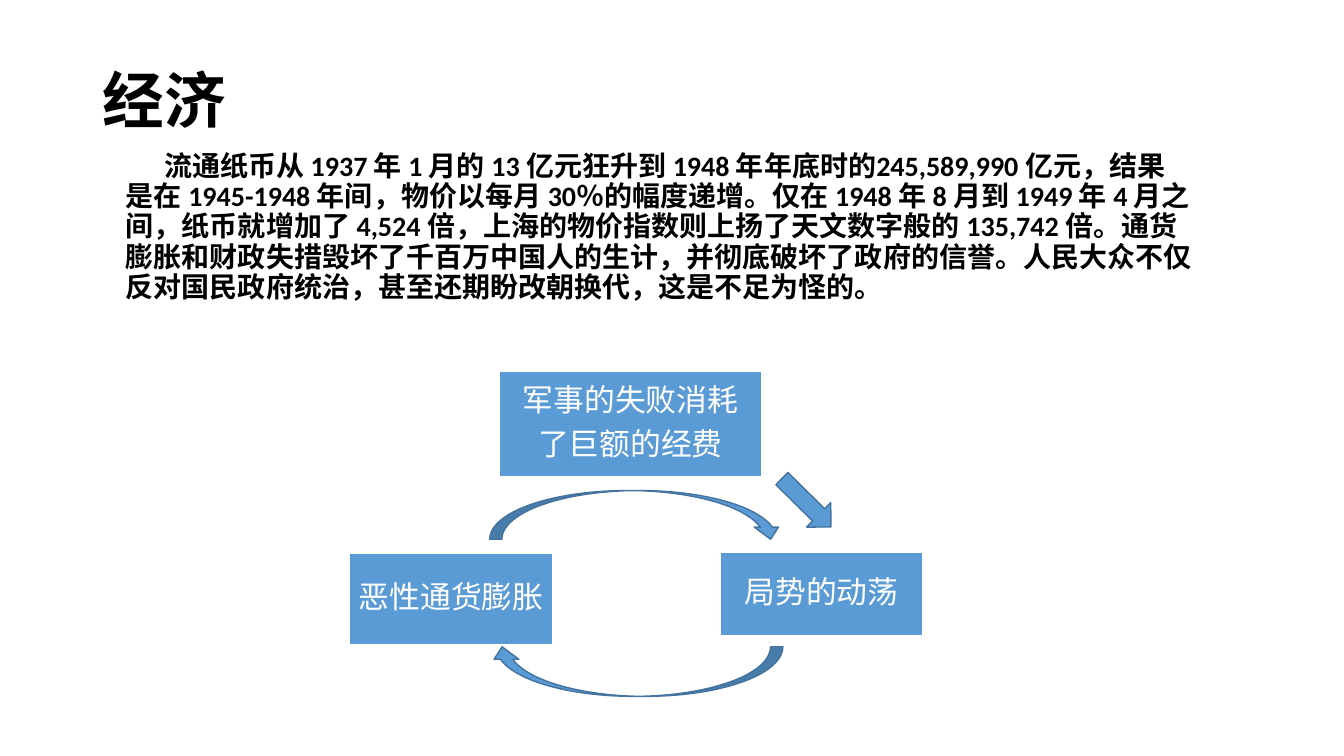
from pptx import Presentation
from pptx.dml.color import RGBColor
from pptx.enum.shapes import MSO_SHAPE
from pptx.enum.text import MSO_ANCHOR, PP_ALIGN
from pptx.util import Inches, Pt

COLORS = {"ink": "000000", "light": "FFFFFF", "blue": "5B9BD5", "edge": "43739E"}
COLUMNS, ROWS = 160, 90
CELL = Inches(7.5) / ROWS

TITLE = "经济"
STORY = (
    "流通纸币从 1937 年 1 月的 13 亿元狂升到 1948 年年底时的245,589,990 亿元，"
    "结果是在 1945-1948 年间，物价以每月 30％的幅度递增。仅在 1948 年 8 月到 1949 年 4 月之间，"
    "纸币就增加了 4,524 倍，上海的物价指数则上扬了天文数字般的 135,742 倍。"
    "通货膨胀和财政失措毁坏了千百万中国人的生计，并彻底破坏了政府的信誉。"
    "人民大众不仅反对国民政府统治，甚至还期盼改朝换代，这是不足为怪的。"
)
CAUSES = [
    (["恶性通货膨胀"], (0, 21.7, 24.2, 10.8)),
    (["局势的动荡"], (44.2, 21.5, 24, 10)),
    (["军事的失败消耗", "了巨额的经费"], (17.8, 0, 31.3, 12.5)),
]
ARROWS = [
    (MSO_SHAPE.LEFT_ARROW, 224.6, (50.3, 13.6, 8.2, 4.1)),
    (MSO_SHAPE.CURVED_DOWN_ARROW, 180, (16.7, 32.8, 34.9, 5.9)),
    (MSO_SHAPE.CURVED_DOWN_ARROW, 0, (16.7, 14.2, 34.9, 5.8)),
]


def cells(box):
    """Turn grid cells into slide lengths."""
    return [round(length * CELL) for length in box]


def color(name):
    """Look up a named colour."""
    return RGBColor.from_string(COLORS[name])


def set_all(target, values):
    """Set every attribute in a dict of format values."""
    for name, value in values.items():
        setattr(target, name, value)


def write(frame, lines, size, ink, bold, paragraph_format):
    """Write one formatted paragraph per line."""
    for index, line in enumerate(lines):
        para = frame.add_paragraph() if index else frame.paragraphs[0]
        set_all(para, {"line_spacing": 0.9, "space_before": Pt(0), **paragraph_format})
        span = para.add_run()
        span.text = line
        set_all(span.font, {"name": "Calibri", "size": Pt(size), "bold": bold})
        span.font.color.rgb = color(ink)


def add_title(page, box):
    """Place the slide title in its placeholder."""
    title = page.shapes.title
    set_all(title, dict(zip(("left", "top", "width", "height"), cells(box))))
    title.text_frame.vertical_anchor = MSO_ANCHOR.MIDDLE
    write(title.text_frame, [TITLE], 44, "ink", True, {"alignment": PP_ALIGN.LEFT})


def add_story(page, box):
    """Place the paragraph with an indented first line."""
    frame = page.shapes.add_textbox(*cells(box)).text_frame
    set_all(frame, {"word_wrap": True, "vertical_anchor": MSO_ANCHOR.BOTTOM})
    write(frame, [STORY], 20, "ink", True, {"alignment": PP_ALIGN.LEFT})
    frame.paragraphs[0]._p.get_or_add_pPr().set("indent", str(Inches(0.38)))


def add_figure(page, kind, box, edge):
    """Draw one blue shape with a one-point outline."""
    figure = page.shapes.add_shape(kind, *cells(box))
    figure.shadow.inherit = False
    figure.fill.solid()
    figure.fill.fore_color.rgb = color("blue")
    figure.line.color.rgb = color(edge)
    figure.line.width = Pt(1)
    return figure


def add_cycle(page, box):
    """Draw the causes and the arrows between them."""
    left, top = box

    def inside(part):
        """Shift a part into the region."""
        return (left + part[0], top + part[1], *part[2:])

    for lines, part in CAUSES:
        frame = add_figure(page, MSO_SHAPE.RECTANGLE, inside(part), "light").text_frame
        margins = dict.fromkeys(("margin_left", "margin_right", "margin_top", "margin_bottom"), Inches(0.08))
        set_all(frame, {"word_wrap": True, "vertical_anchor": MSO_ANCHOR.MIDDLE, **margins})
        write(frame, lines, 22, "light", False, {"alignment": PP_ALIGN.CENTER, "space_after": Pt(7.7)})
    for kind, turn, part in ARROWS:
        add_figure(page, kind, inside(part), "edge").rotation = turn


def main():
    """Build and save the deck."""
    deck = Presentation()
    deck.slide_width, deck.slide_height = cells((COLUMNS, ROWS))
    page = deck.slides.add_slide(deck.slide_layouts[5])
    add_story(page, (13.8, 10.9, 129.4, 25.8))
    add_cycle(page, (41.6, 44.2))
    add_title(page, (11, 3.6, 138, 17.4))
    deck.save("out.pptx")


if __name__ == "__main__":
    main()
